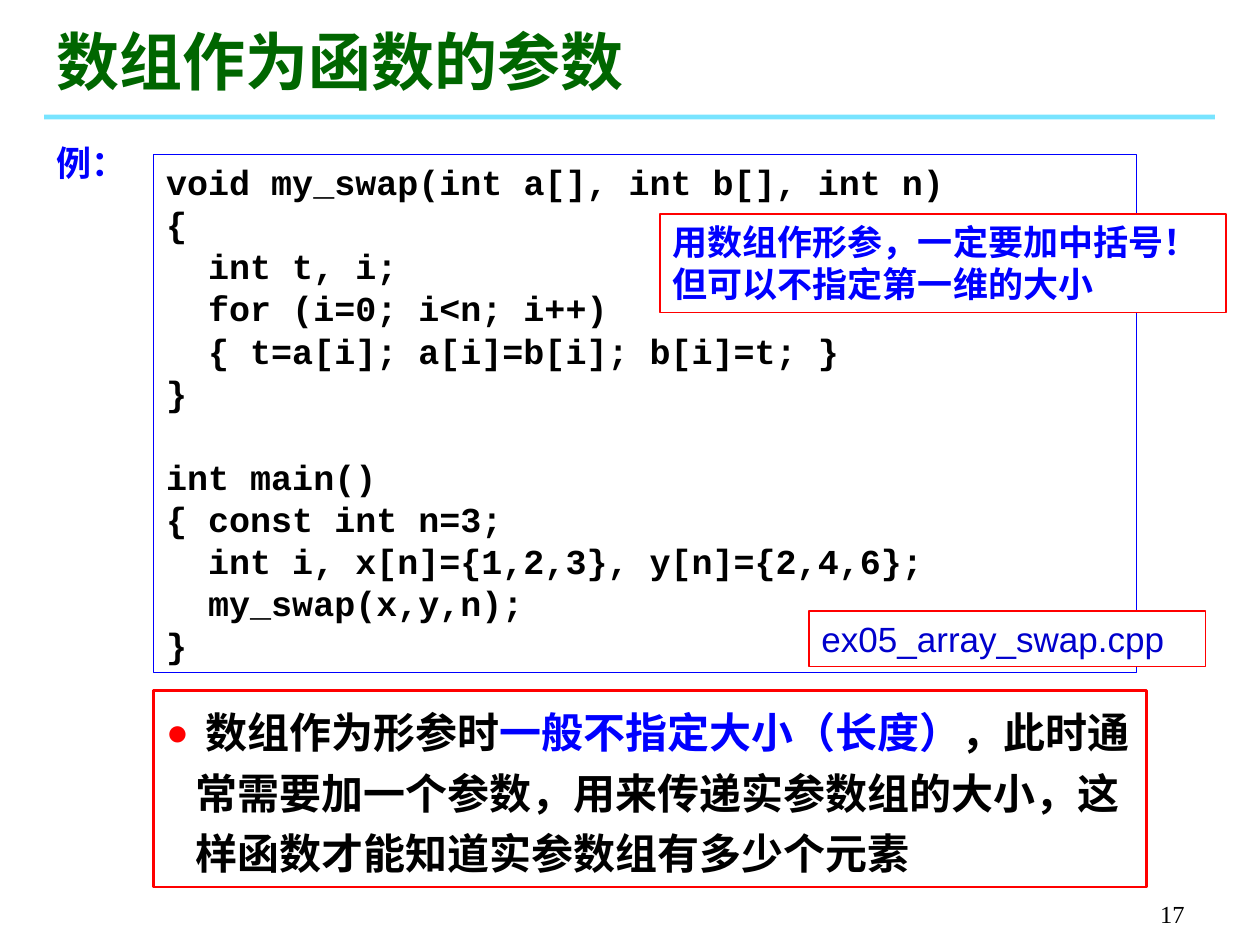
from lxml.etree import SubElement
from pptx import Presentation
from pptx.dml.color import RGBColor
from pptx.enum.shapes import MSO_SHAPE
from pptx.enum.text import MSO_ANCHOR, PP_ALIGN
from pptx.oxml.ns import qn
from pptx.util import Cm, Pt

COLORS = {"title": "006600", "bar": "00CCFF", "blue": "0000FF", "file": "0000CC",
          "red": "FF0000", "black": "000000", "white": "FFFFFF"}
CODE = [(0, "void my_swap(int a[], int b[], int n)"), (0, "{"), (1, "int t, i;"),
        (1, "for (i=0; i<n; i++)"), (1, "{ t=a[i]; a[i]=b[i]; b[i]=t; }"), (0, "}"),
        (0, "int main()"), (0, "{ const int n=3;"),
        (1, "int i, x[n]={1,2,3}, y[n]={2,4,6};"), (1, "my_swap(x,y,n);"), (0, "}")]
LINE = Pt(24)


def color(name):
    return RGBColor.from_string(COLORS[name])


def add_span(para, text, size, font, ink, bold=True):
    span = para.add_run()
    span.text = text
    span.font.size, span.font.name, span.font.bold = Pt(size), font, bold
    span.font.color.rgb = color(ink)


def add_lines(frame, lines, *style):
    for index, line in enumerate(lines):
        para = frame.add_paragraph() if index else frame.paragraphs[0]
        para.alignment = PP_ALIGN.LEFT
        add_span(para, line, *style)
    return frame.paragraphs


def add_panel(page, box, fill=None, line=None, width=0.75):
    panel = page.shapes.add_shape(MSO_SHAPE.RECTANGLE, *map(Cm, box))
    panel.shadow.inherit = False
    if fill:
        panel.fill.solid()
        panel.fill.fore_color.rgb = color(fill)
    else:
        panel.fill.background()
    if line:
        panel.line.color.rgb = color(line)
        panel.line.width = Pt(width)
    else:
        panel.line.fill.background()
    panel.text_frame.word_wrap = True
    panel.text_frame.vertical_anchor = MSO_ANCHOR.TOP
    return panel


def add_label(page, box, text, *style):
    frame = page.shapes.add_textbox(*map(Cm, box)).text_frame
    frame.word_wrap = True
    return add_lines(frame, [text], *style)[0]


def add_header(page, box, text):
    left, top, width, height = box
    # Translucent rule under the title
    bar = add_panel(page, (left, top + 1.98, width, 0.1), "bar")
    tint = bar.fill._xPr.find(".//" + qn("a:srgbClr"))
    SubElement(tint, qn("a:alpha")).set("val", "53000")
    title = page.shapes.title
    title.left, title.top, title.width, title.height = map(Cm, (left, top, 13.61, height))
    frame = title.text_frame
    frame.word_wrap = False
    frame.vertical_anchor = MSO_ANCHOR.BOTTOM
    add_lines(frame, [text], 36, "Times New Roman", "title")


def add_code(page, box):
    frame = add_panel(page, box, line="blue").text_frame
    paras = add_lines(frame, [text for _, text in CODE], 20, "Courier New", "black")
    for para, (level, text) in zip(paras, CODE):
        para.line_spacing = LINE
        para._p.get_or_add_pPr().set("marL", str(level * Pt(24)))
        if text == "int main()":
            para.space_before = LINE


def add_callout(page, box, lines, ink, bold, width):
    frame = add_panel(page, box, "white", "red", width).text_frame
    add_lines(frame, lines, 20, "Arial", ink, bold)


def add_summary(page, box, parts):
    para = add_panel(page, box, line="red", width=1.5).text_frame.paragraphs[0]
    para.alignment = PP_ALIGN.LEFT
    para.line_spacing = 1.2
    for text, ink in parts:
        add_span(para, text, 24, "Arial", ink)
    # Red hanging bullet
    props = para._p.get_or_add_pPr()
    props.set("marL", str(Cm(0.6)))
    props.set("indent", str(-Cm(0.6)))
    tint = SubElement(props, qn("a:buClr"))
    SubElement(tint, qn("a:srgbClr")).set("val", COLORS["red"])
    SubElement(props, qn("a:buSzPct")).set("val", "90000")
    SubElement(props, qn("a:buFont")).set("typeface", "Arial")
    SubElement(props, qn("a:buChar")).set("char", "●")


def build_slide(deck):
    page = deck.slides.add_slide(deck.slide_layouts[5])
    add_header(page, (0.89, 0.33, 23.6, 1.78), "数组作为函数的参数")
    # Example code with its notes
    add_label(page, (0.89, 2.72, 2.79, 1.12), "例：", 20, "Courier New", "blue")
    add_code(page, (3.1, 3.12, 19.81, 10.44))
    add_callout(page, (13.31, 4.32, 11.4, 1.98),
                ["用数组作形参，一定要加中括号！", "但可以不指定第一维的大小"], "blue", True, 1)
    # Conclusion
    add_summary(page, (3.1, 13.92, 20.02, 3.96), [
        (" 数组作为形参时", "black"), ("一般不指定大小（长度）", "blue"),
        ("，此时通常需要加一个参数，用来传递实参数组的大小，这样函数才能知道实参数组有多少个元素", "black")])
    add_callout(page, (16.31, 12.32, 8, 1.12), ["ex05_array_swap.cpp"], "file", False, 0.75)
    # Page number
    number = add_label(page, (18.85, 17.58, 5.28, 1.27), "17", 14,
                       "Times New Roman", "black", False)
    number.alignment = PP_ALIGN.RIGHT
    page.shapes[-1].text_frame.vertical_anchor = MSO_ANCHOR.BOTTOM


deck = Presentation()
deck.slide_width, deck.slide_height = Cm(25.4), Cm(19.05)
build_slide(deck)
deck.save("out.pptx")
